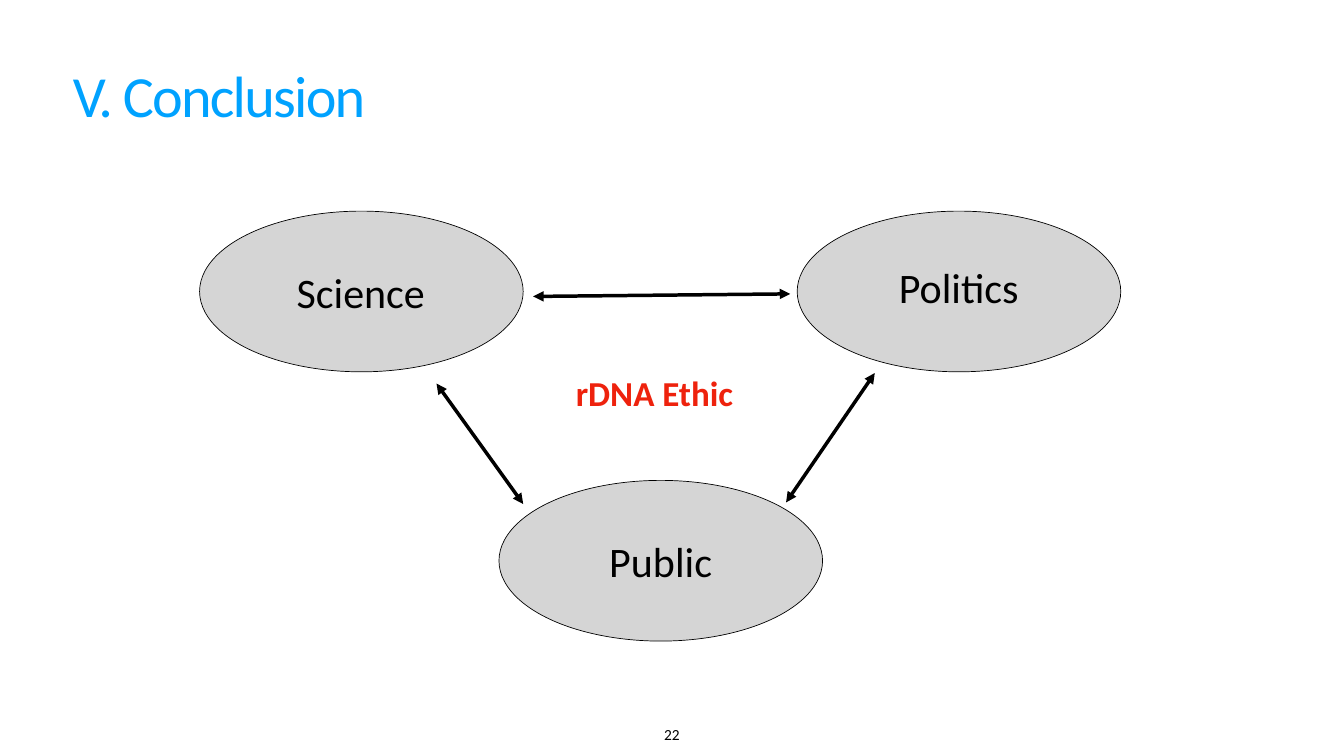
import pptx
import pptx.util
import pptx.dml.color
import pptx.enum.shapes
import pptx.enum.text
import pptx.oxml
import pptx.oxml.ns
from pptx.util import Cm

BLACK = pptx.dml.color.RGBColor(0x00, 0x00, 0x00)
GREY = pptx.dml.color.RGBColor(0xD5, 0xD5, 0xD5)
RED = pptx.dml.color.RGBColor(0xEE, 0x22, 0x0D)
BLUE = pptx.dml.color.RGBColor(0x00, 0xA2, 0xFF)
ALIGN = pptx.enum.text.PP_ALIGN
ANCHOR = pptx.enum.text.MSO_ANCHOR
AUTO_SIZE = pptx.enum.text.MSO_AUTO_SIZE

deck = pptx.Presentation()
deck.slide_width = Cm(67.74)
deck.slide_height = Cm(38.1)
slide = deck.slides.add_slide(deck.slide_layouts[6])


def add_label(text, left, top, width, height, size, color=BLACK, anchor=ANCHOR.MIDDLE):
    label = slide.shapes.add_textbox(Cm(left), Cm(top), Cm(width), Cm(height))
    frame = label.text_frame
    frame.margin_left = frame.margin_right = Cm(0.15)
    frame.margin_top = frame.margin_bottom = Cm(0.15)
    frame.vertical_anchor = anchor
    frame.word_wrap = False
    frame.auto_size = AUTO_SIZE.SHAPE_TO_FIT_TEXT
    frame.paragraphs[0].alignment = ALIGN.CENTER
    run = frame.paragraphs[0].add_run()
    run.text = text
    run.font.name = "Calibri"
    run.font.size = pptx.util.Pt(size)
    run.font.color.rgb = color
    return frame, run


for left, top in [(10.06, 10.64), (40.18, 10.64), (25.15, 24.21)]:
    actor = slide.shapes.add_shape(
        pptx.enum.shapes.MSO_SHAPE.OVAL, Cm(left), Cm(top), Cm(16.31), Cm(8.1))
    actor.shadow.inherit = False
    actor.fill.solid()
    actor.fill.fore_color.rgb = GREY
    actor.line.color.rgb = BLACK
    actor.line.width = pptx.util.Pt(1)

exchanges = [
    (39.62, 25.32, 44.09, 18.8),
    (26.37, 25.4, 22, 19.33),
    (26.87, 14.94, 39.83, 14.81),
]
for ends in exchanges:
    exchange = slide.shapes.add_connector(
        pptx.enum.shapes.MSO_CONNECTOR.STRAIGHT, *[Cm(end) for end in ends])
    exchange.line.color.rgb = BLACK
    exchange.line.width = pptx.util.Pt(5)
    outline = exchange.line._get_or_add_ln()
    for tag in ("a:headEnd", "a:tailEnd"):
        outline.append(pptx.oxml.parse_xml(
            f'<{tag} {pptx.oxml.ns.nsdecls("a")} type="triangle"/>'))
    exchange._element.spPr.append(pptx.oxml.parse_xml(
        f'<a:effectLst {pptx.oxml.ns.nsdecls("a")}/>'))

add_label("Science", 14.35, 13.31, 7.67, 2.82, 60)
add_label("Public", 30.33, 26.85, 5.94, 2.82, 60)
add_label("Politics", 44.91, 13.06, 6.83, 2.82, 60)

ethic_frame, ethic_run = add_label("rDNA Ethic", 28.14, 18.42, 9.7, 2.69, 50, RED)
ethic_run.font.bold = True

title_frame, title_run = add_label(
    "V. Conclusion", 3.53, 2.34, 43.38, 4.29, 83.2, BLUE, ANCHOR.BOTTOM)
title_frame.word_wrap = True
title_frame.auto_size = AUTO_SIZE.NONE
title_frame.paragraphs[0].alignment = ALIGN.LEFT
title_frame.paragraphs[0].line_spacing = 0.8
title_run.font._element.set("spc", "-250")

add_label("22", 33.25, 36.3, 1.22, 1.35, 22, anchor=ANCHOR.BOTTOM)

deck.save("out.pptx")
